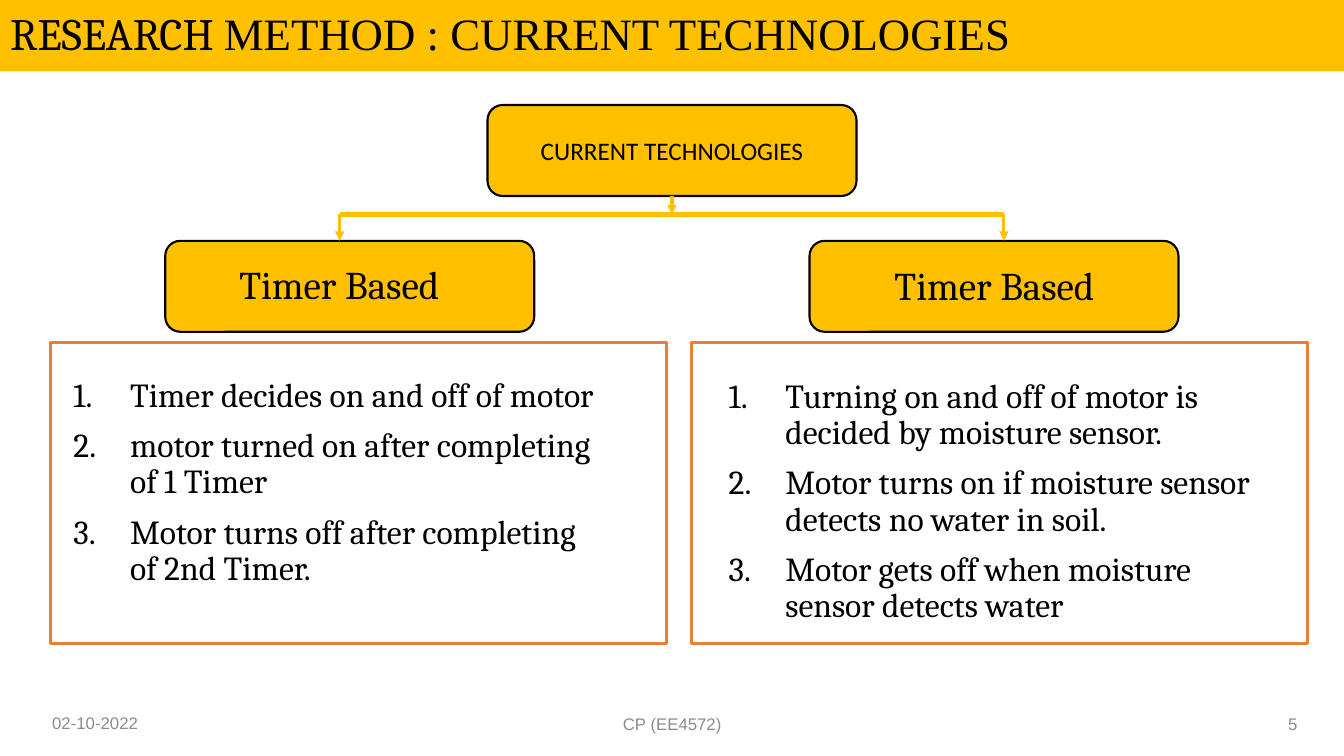
from lxml import etree
from pptx import Presentation
from pptx.dml.color import RGBColor
from pptx.enum.shapes import MSO_CONNECTOR, MSO_SHAPE
from pptx.enum.text import MSO_ANCHOR, PP_ALIGN
from pptx.oxml.ns import qn
from pptx.util import Pt

RECTANGLE, ROUNDED = MSO_SHAPE.RECTANGLE, MSO_SHAPE.ROUNDED_RECTANGLE
STRAIGHT = MSO_CONNECTOR.STRAIGHT
LEFT, CENTER, RIGHT = PP_ALIGN.LEFT, PP_ALIGN.CENTER, PP_ALIGN.RIGHT
TOP, MIDDLE = MSO_ANCHOR.TOP, MSO_ANCHOR.MIDDLE

TITLE = [("RESEARCH ", "Cambria"), ("METHOD : CURRENT TECHNOLOGIES", "Times New Roman")]
ROOT = "CURRENT TECHNOLOGIES"
BRANCHES = [
    {"heading": "Timer Based",
     "steps": ["Timer decides on and off of motor",
               "motor turned on after completing of 1 Timer",
               "Motor turns off after completing of 2nd Timer."],
     "box_left": 118, "panel_left": 36, "text_at": (45.4, 186.5), "arrow_x": 242.6},
    {"heading": "Timer Based",
     "steps": ["Turning on and off of motor is decided by moisture sensor.",
               "Motor turns on if moisture sensor detects no water in soil.",
               "Motor gets off when moisture sensor detects water"],
     "box_left": 578.2, "panel_left": 494, "text_at": (513.4, 187.2), "arrow_x": 717.1},
]
FOOTERS = [("02-10-2022", 30.2, 501.8, 216, LEFT),
           ("CP (EE4572)", 318.2, 502.6, 324, CENTER),
           ("5", 717.8, 502.6, 216, RIGHT)]


class Theme:
    gold = RGBColor(0xFF, 0xC0, 0x00)
    orange = RGBColor(0xED, 0x7D, 0x31)
    black = RGBColor(0, 0, 0)
    grey = RGBColor(0x8C, 0x8C, 0x8C)
    title = {"size": Pt(32)}
    root = {"name": "Calibri", "size": Pt(18)}
    heading = {"name": "Cambria", "size": Pt(28)}
    step = {"name": "Cambria", "size": Pt(24)}
    footer = {"name": "Arial", "size": Pt(12)}


WIDTH, HEIGHT, BAR_HEIGHT = 960, 540, 51
BOX_WIDTH, BOX_HEIGHT = 263.6, 65
ROOT_TOP, BOX_TOP, BUS_Y = 75, 172, 153.2
PANEL_TOP, PANEL_WIDTH, PANEL_HEIGHT = 244.8, 440, 215.2
TEXT_WIDTH, TEXT_HEIGHT = 393.8, 273
HEADING_GAP, STEP_GAP, STEP_INDENT = 50, 10, 40.5


def format_object(target, values):
    for name, value in values.items():
        setattr(target, name, value)


def format_font(font, values, color):
    format_object(font, values)
    font.color.rgb = color


def add_box(kind, left, top, width, height, fill=None, line=None, weight=1.5):
    shape = slide.shapes.add_shape(kind, Pt(left), Pt(top), Pt(width), Pt(height))
    shape.shadow.inherit = False
    for part, color in ((shape.fill, fill), (shape.line.fill, line)):
        if color is None:
            part.background()
        else:
            part.solid()
            part.fore_color.rgb = color
    if line is not None:
        shape.line.width = Pt(weight)
    return shape


def add_line(start, end, weight=2.25, arrow=True):
    line = slide.shapes.add_connector(STRAIGHT, *map(Pt, start + end))
    line.line.color.rgb = Theme.gold
    line.line.width = Pt(weight)
    properties = line.element.spPr
    if arrow:
        etree.SubElement(properties.find(qn("a:ln")), qn("a:tailEnd"), type="triangle")
    etree.SubElement(properties, qn("a:effectLst"))
    return line


def add_text_frame(left, top, width, height, anchor):
    frame = slide.shapes.add_textbox(Pt(left), Pt(top), Pt(width), Pt(height)).text_frame
    format_object(frame, {"word_wrap": True, "vertical_anchor": anchor})
    return frame


def write(paragraph, text, alignment, font, color=Theme.black):
    paragraph.alignment = alignment
    run = paragraph.add_run()
    run.text = text
    format_font(run.font, font, color)


def number(paragraph):
    properties = paragraph._p.get_or_add_pPr()
    properties.set("marL", str(Pt(STEP_INDENT)))
    properties.set("indent", str(-Pt(STEP_INDENT)))
    etree.SubElement(properties, qn("a:buFont"), typeface="Calibri")
    etree.SubElement(properties, qn("a:buAutoNum"), type="arabicPeriod")


def add_title():
    title = slide.shapes.title
    format_object(title, {"left": 0, "top": 0, "width": Pt(828), "height": Pt(BAR_HEIGHT)})
    format_object(title.text_frame, {"vertical_anchor": MIDDLE, "word_wrap": True})
    bar = add_box(RECTANGLE, 0, 0, WIDTH, BAR_HEIGHT, Theme.gold)
    title.element.addprevious(bar.element)
    paragraph = title.text_frame.paragraphs[0]
    paragraph.line_spacing = 0.9
    for text, font_name in TITLE:
        write(paragraph, text, LEFT, {**Theme.title, "name": font_name})


def add_branch(branch):
    add_box(ROUNDED, branch["box_left"], BOX_TOP, BOX_WIDTH, BOX_HEIGHT,
            Theme.gold, Theme.black)
    add_box(RECTANGLE, branch["panel_left"], PANEL_TOP, PANEL_WIDTH, PANEL_HEIGHT,
            line=Theme.orange, weight=2.25)
    frame = add_text_frame(*branch["text_at"], TEXT_WIDTH, TEXT_HEIGHT, TOP)
    heading = frame.paragraphs[0]
    heading.line_spacing = 0.9
    write(heading, branch["heading"], CENTER, Theme.heading)
    for index, step in enumerate(branch["steps"]):
        paragraph = frame.add_paragraph()
        format_object(paragraph, {"line_spacing": 0.9,
                                  "space_before": Pt(STEP_GAP if index else HEADING_GAP)})
        number(paragraph)
        write(paragraph, step, LEFT, Theme.step)
    add_line((branch["arrow_x"], BUS_Y), (branch["arrow_x"], BOX_TOP))


presentation = Presentation()
presentation.slide_width, presentation.slide_height = Pt(WIDTH), Pt(HEIGHT)
slide = presentation.slides.add_slide(presentation.slide_layouts[5])

add_title()
root = add_box(ROUNDED, (WIDTH - BOX_WIDTH) / 2, ROOT_TOP, BOX_WIDTH, BOX_HEIGHT,
               Theme.gold, Theme.black)
root.text_frame.vertical_anchor = MIDDLE
write(root.text_frame.paragraphs[0], ROOT, CENTER, Theme.root)
trunk = add_line((WIDTH / 2, ROOT_TOP + BOX_HEIGHT), (WIDTH / 2, BUS_Y))
trunk.begin_connect(root, 2)

for branch in BRANCHES:
    add_branch(branch)
add_line(*((branch["arrow_x"], BUS_Y) for branch in BRANCHES), weight=3, arrow=False)

for text, left, top, width, alignment in FOOTERS:
    frame = add_text_frame(left, top, width, 28.8, MIDDLE)
    write(frame.paragraphs[0], text, alignment, Theme.footer, Theme.grey)

presentation.save("out.pptx")
